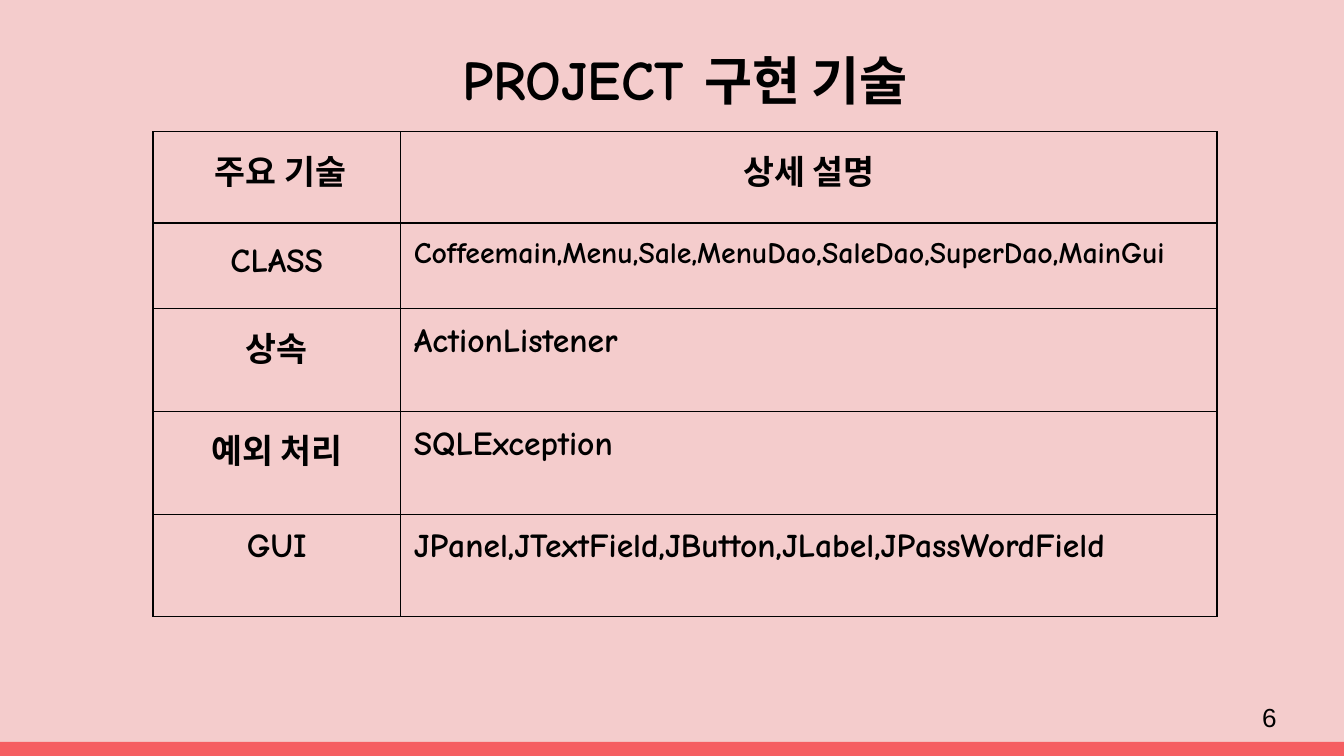
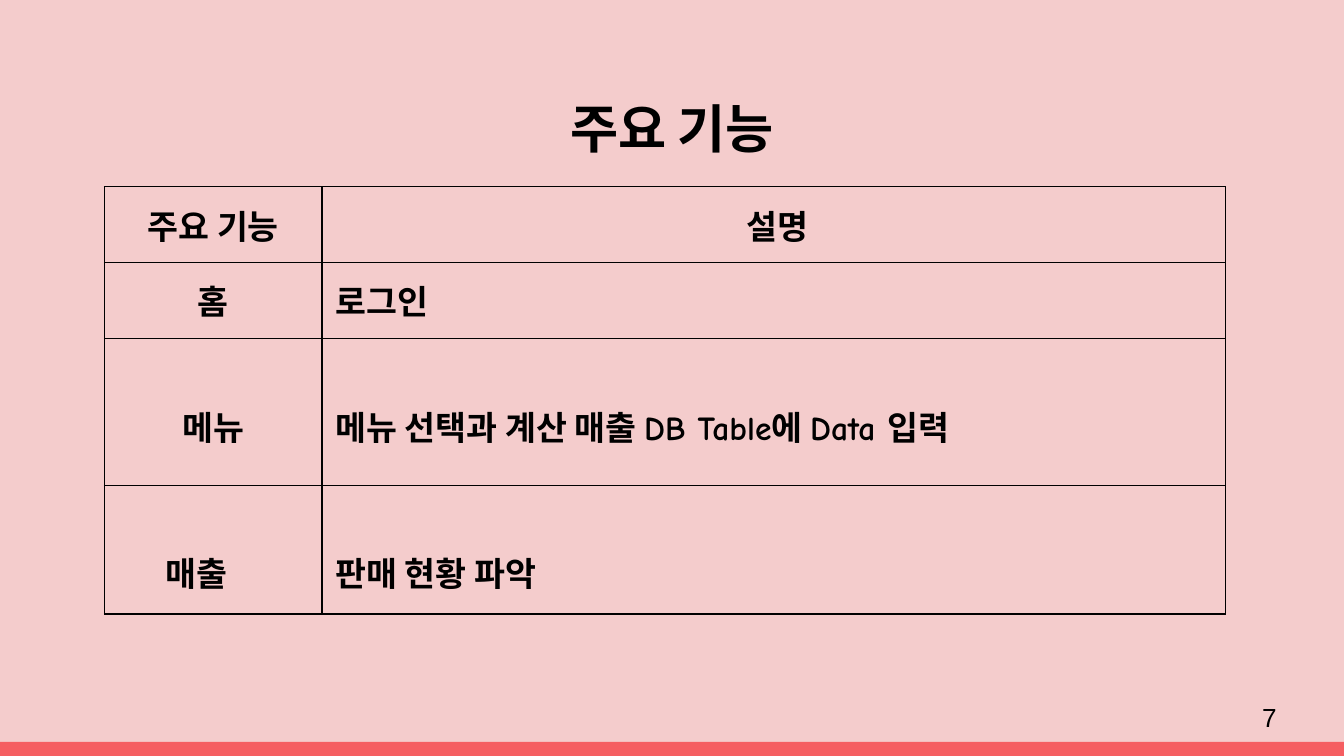
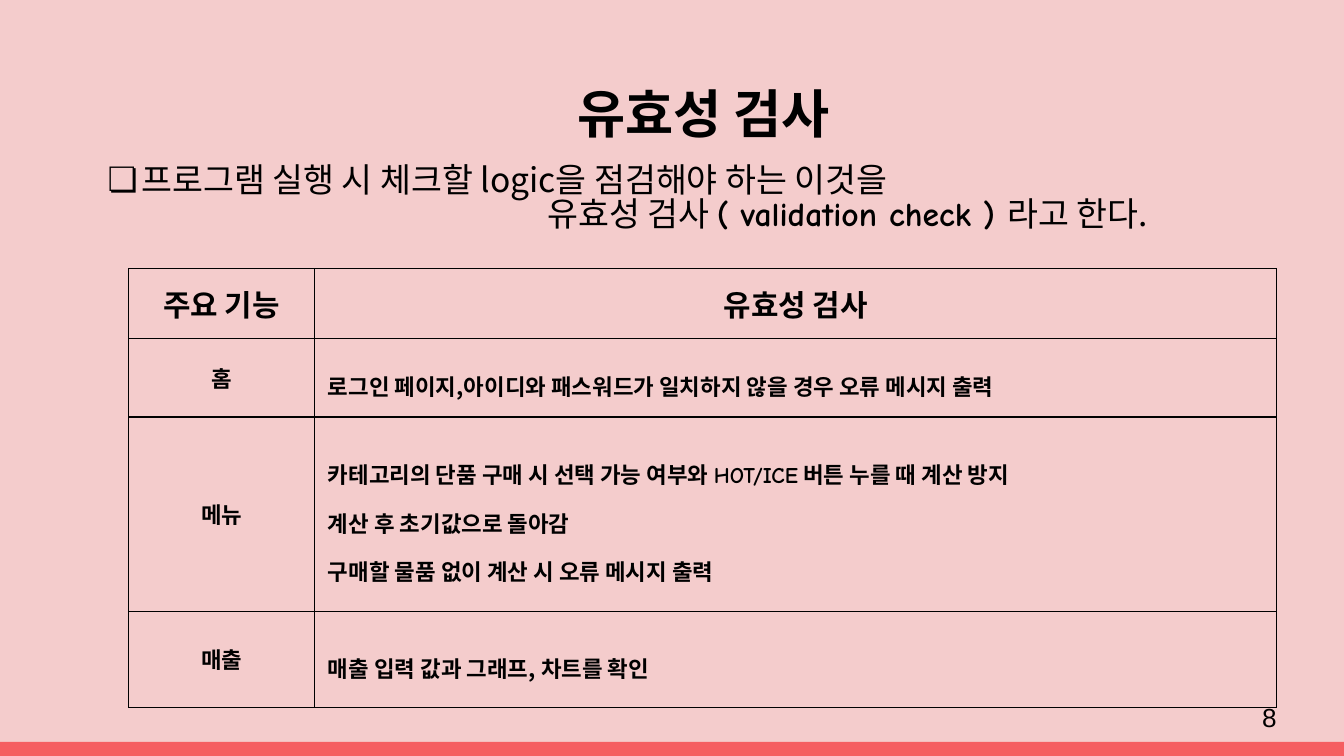
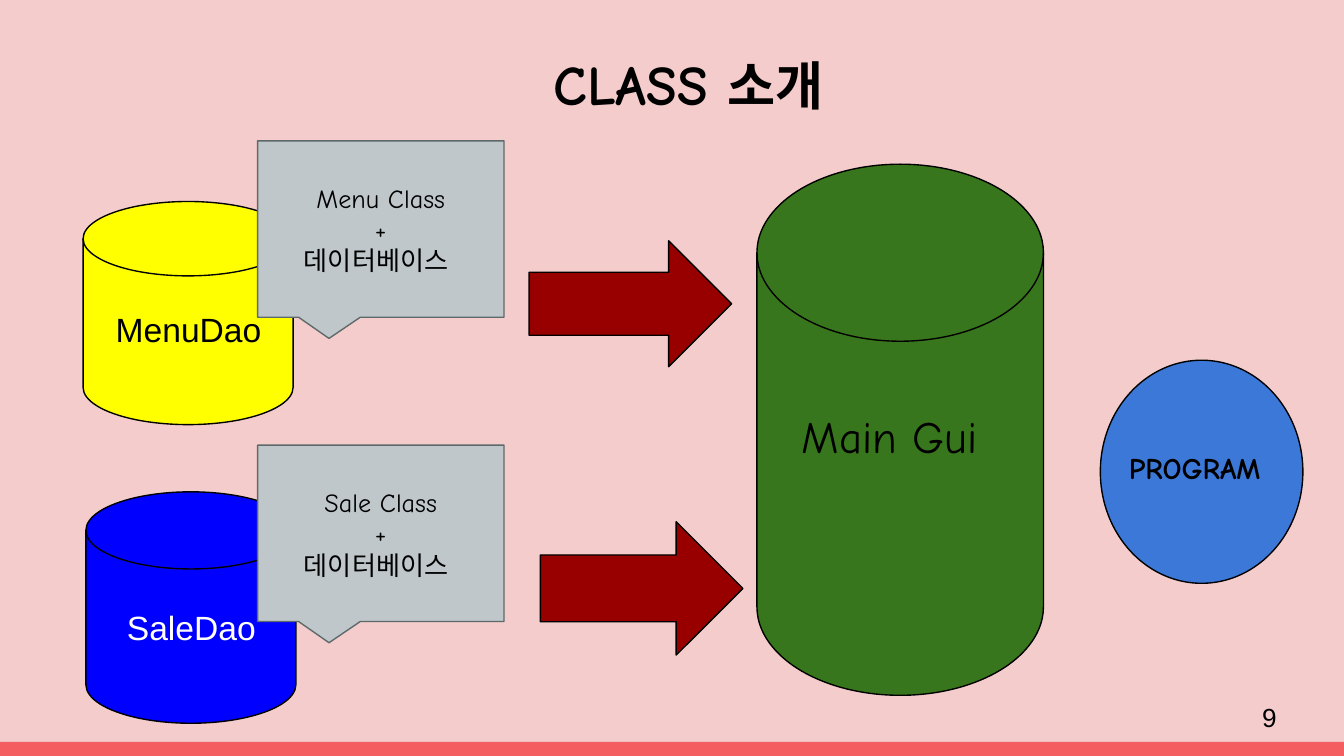
from dataclasses import dataclass
from typing import NamedTuple

from lxml.etree import SubElement
from pptx import Presentation
from pptx.dml.color import RGBColor
from pptx.enum.shapes import MSO_SHAPE
from pptx.enum.text import MSO_ANCHOR, MSO_AUTO_SIZE, PP_ALIGN
from pptx.oxml.ns import qn
from pptx.util import Pt

BLACK = RGBColor(0x00, 0x00, 0x00)
WHITE = RGBColor(0xFF, 0xFF, 0xFF)
PINK = RGBColor(0xF4, 0xCC, 0xCC)
CORAL = RGBColor(0xF5, 0x5E, 0x61)
YELLOW = RGBColor(0xFF, 0xFF, 0x00)
BLUE = RGBColor(0x00, 0x00, 0xFF)
SILVER = RGBColor(0xBF, 0xC7, 0xCA)
SLATE = RGBColor(0x5E, 0x69, 0x6C)
MAROON = RGBColor(0x98, 0x00, 0x00)
GREEN = RGBColor(0x38, 0x76, 0x1D)
SKY = RGBColor(0x3C, 0x78, 0xD8)

COMIC = "Comic Neue"
KOREAN = "Noto Sans CJK KR"
ARIAL = "Arial"
LEFT, CENTER = PP_ALIGN.LEFT, PP_ALIGN.CENTER
TOP, MIDDLE = MSO_ANCHOR.TOP, MSO_ANCHOR.MIDDLE
INSET = 7.2
DISK = MSO_SHAPE.FLOWCHART_MAGNETIC_DISK
ARROW = MSO_SHAPE.RIGHT_ARROW
BUBBLE = MSO_SHAPE.ROUNDED_RECTANGULAR_CALLOUT


class Box(NamedTuple):
    left: float
    top: float
    width: float
    height: float

    def points(self) -> list:
        return [Pt(side) for side in self]


class Piece(NamedTuple):
    text: str
    font: str = KOREAN
    size: float = 18
    bold: bool = True
    color: RGBColor = BLACK


@dataclass
class Line:
    pieces: list
    align: PP_ALIGN = LEFT
    space: float = 1
    before: float = 0


@dataclass
class Cell:
    lines: list
    anchor: MSO_ANCHOR = TOP
    top: float = INSET
    left: float = INSET
    fill: RGBColor | None = None


@dataclass
class Grid:
    left: float
    top: float
    cols: list
    rows: list
    cells: list


@dataclass
class Figure:
    kind: MSO_SHAPE
    box: Box
    fill: RGBColor
    edge: RGBColor = BLACK


@dataclass
class Label:
    box: Box
    piece: Piece
    align: PP_ALIGN = CENTER


def write(frame, lines: list) -> None:
    for i, line in enumerate(lines):
        para = frame.paragraphs[0] if i == 0 else frame.add_paragraph()
        para.alignment = line.align
        para.line_spacing = line.space
        para.space_before = Pt(line.before)
        for piece in line.pieces:
            run = para.add_run()
            run.text = piece.text
            run.font.size = Pt(piece.size)
            run.font.bold = piece.bold
            run.font.color.rgb = piece.color
            run.font.name = piece.font
            SubElement(run._r.get_or_add_rPr(), qn("a:ea"), typeface=piece.font)


def setup(frame, anchor: MSO_ANCHOR = TOP) -> None:
    frame.word_wrap = True
    frame.auto_size = MSO_AUTO_SIZE.NONE
    frame.vertical_anchor = anchor
    frame.margin_left = frame.margin_right = Pt(INSET)
    frame.margin_top = frame.margin_bottom = Pt(INSET)


def place(holder, box: Box, lines: list, anchor: MSO_ANCHOR = TOP) -> None:
    holder.left, holder.top, holder.width, holder.height = box.points()
    setup(holder.text_frame, anchor)
    write(holder.text_frame, lines)


def add_text(slide, box: Box, lines: list, anchor: MSO_ANCHOR = TOP) -> None:
    place(slide.shapes.add_textbox(*box.points()), box, lines, anchor)


def add_label(slide, label: Label) -> None:
    add_text(slide, label.box, [Line([label.piece], label.align)])


def add_figure(slide, figure: Figure):
    shape = slide.shapes.add_shape(figure.kind, *figure.box.points())
    shape.shadow.inherit = False
    shape.fill.solid()
    shape.fill.fore_color.rgb = figure.fill
    shape.line.color.rgb = figure.edge
    shape.line.width = Pt(0.75)
    return shape


def add_page(deck, layout: int, number: int, box: Box, title: list, anchor: MSO_ANCHOR = TOP):
    slide = deck.slides.add_slide(deck.slide_layouts[layout])
    place(slide.shapes.title, box, [Line(title, CENTER)], anchor)
    digit = Piece(str(number), ARIAL, 14, False)
    add_text(slide, Box(669, 368.5, 43, 31), [Line([digit])], MIDDLE)
    return slide


def edge(cell) -> None:
    props = cell._tc.get_or_add_tcPr()
    for side in ("a:lnL", "a:lnR", "a:lnT", "a:lnB"):
        line = SubElement(props, qn(side), w=str(Pt(0.75)))
        fill = SubElement(line, qn("a:solidFill"))
        SubElement(fill, qn("a:srgbClr"), val=str(BLACK))


def add_grid(slide, grid: Grid) -> None:
    box = Box(grid.left, grid.top, sum(grid.cols), sum(grid.rows))
    table = slide.shapes.add_table(len(grid.rows), len(grid.cols), *box.points()).table
    table.first_row = table.horz_banding = False
    for col, width in zip(table.columns, grid.cols):
        col.width = Pt(width)
    for row, height, cells in zip(table.rows, grid.rows, grid.cells):
        row.height = Pt(height)
        for cell, data in zip(row.cells, cells):
            edge(cell)
            cell.margin_left, cell.margin_right = Pt(data.left), Pt(INSET)
            cell.margin_top, cell.margin_bottom = Pt(data.top), Pt(INSET)
            cell.vertical_anchor = data.anchor
            if data.fill is None:
                cell.fill.background()
            else:
                cell.fill.solid()
                cell.fill.fore_color.rgb = data.fill
            write(cell.text_frame, data.lines)


def brand(deck, slide) -> None:
    master = deck.slide_master
    master.background.fill.solid()
    master.background.fill.fore_color.rgb = PINK
    band = add_figure(slide, Figure(MSO_SHAPE.RECTANGLE, Box(0, 397.5, 720, 7.5), CORAL))
    band.line.fill.background()
    master.shapes.element.append(band.element)


def tech(deck):
    title = [Piece("PROJECT ", COMIC, 30), Piece("구현 기술", size=28)]
    slide = add_page(deck, 5, 6, Box(82, 16.5, 570, 49), title)

    def cell(piece: Piece, align: PP_ALIGN = CENTER, space: float = 1) -> Cell:
        return Cell([Line([piece], align, space, 10)])

    names = "Coffeemain,Menu,Sale,MenuDao,SaleDao,SuperDao,MainGui"
    parts = "JPanel,JTextField,JButton,JLabel,JPassWordField"
    cells = [
        [cell(Piece(" 주요 기술")), cell(Piece("상세 설명"))],
        [cell(Piece("CLASS", COMIC), space=1.15), cell(Piece(names, COMIC, 16), LEFT)],
        [cell(Piece("상속")), cell(Piece("ActionListener", COMIC), LEFT)],
        [cell(Piece("예외 처리")), cell(Piece("SQLException", COMIC), LEFT)],
        [cell(Piece("GUI", COMIC)), cell(Piece(parts, COMIC), LEFT)],
    ]
    add_grid(slide, Grid(82, 70.5, [132.5, 437.5], [49, 46, 55, 55, 55], cells))
    return slide


def features(deck) -> None:
    slide = add_page(deck, 5, 7, Box(67.5, 44.5, 585, 49), [Piece("주요 기능", size=28)])

    def cell(*pieces: Piece, align: PP_ALIGN = LEFT, top: float = INSET, left: float = INSET) -> Cell:
        return Cell([Line(list(pieces), align)], top=top, left=left)

    low = 33.5
    menu = [Piece("메뉴 선택과 계산 매출 "), Piece("DB Table", COMIC), Piece("에 "),
            Piece("Data ", COMIC), Piece("입력")]
    cells = [
        [cell(Piece("주요 기능"), align=CENTER), cell(Piece(" 설명"), align=CENTER)],
        [cell(Piece("홈"), align=CENTER), cell(Piece("로그인"))],
        [cell(Piece("메뉴"), align=CENTER, top=low), cell(*menu, top=low)],
        [cell(Piece("매출"), top=low, left=32.5), cell(Piece("판매 현황 파악"), top=low)],
    ]
    add_grid(slide, Grid(56, 100, [116.5, 484], [40.5, 41, 78.5, 69], cells))


def checks(deck) -> None:
    title = [Piece("유효성 검사", size=28)]
    slide = add_page(deck, 1, 8, Box(69, 37.5, 615.5, 45.5), title, MIDDLE)
    body = slide.placeholders[1]
    intro = [Piece("프로그램 실행 시 체크할 logic을 점검해야 하는 이것을", bold=False)]
    term = [Piece("유효성 검사 ", bold=False), Piece("( validation check ) ", COMIC),
            Piece("라고 한다.", bold=False)]
    place(body, Box(31, 82, 671, 286.5), [Line(intro, space=0.82), Line(term, space=0.82)])
    marks = [(37.5, -18, "a:buChar", {"char": "❏"}), (255, 0, "a:buNone", {})]
    for para, (left, indent, tag, attrs) in zip(body.text_frame.paragraphs, marks):
        props = para._p.get_or_add_pPr()
        props.set("marL", str(Pt(left)))
        props.set("indent", str(Pt(indent)))
        SubElement(props, qn(tag), attrs)

    def head(text: str) -> Cell:
        return Cell([Line([Piece(text, size=16)], CENTER)], MIDDLE, fill=PINK)

    def name(text: str) -> Cell:
        return Cell([Line([Piece(text, size=12)], CENTER)], MIDDLE)

    def notes(*lines: list) -> Cell:
        return Cell([Line(line, space=1.5) for line in lines], MIDDLE)

    def small(text: str, font: str = KOREAN) -> Piece:
        return Piece(text, font, 12)

    cells = [
        [head("주요 기능"), head("유효성 검사")],
        [name("홈"), notes([small("로그인 페이지,아이디와 패스워드가 일치하지 않을 경우 오류 메시지 출력")])],
        [name("메뉴"), notes(
            [small("카테고리의 단품 구매 시 선택 가능 여부와 "), small("HOT/ICE", COMIC),
             small(" 버튼 누를 때 계산 방지")],
            [small("계산 후 초기값으로 돌아감")],
            [small("구매할 물품 없이 계산 시 오류 메시지 출력")])],
        [name("매출"), notes([small("매출 입력 값과 그래프, 차트를 확인")])],
    ]
    add_grid(slide, Grid(69, 144, [99.5, 515.5], [37.5, 42, 104, 51.5], cells))


def classes(deck) -> None:
    title = [Piece("CLASS ", COMIC, 30), Piece("소개", size=28)]
    slide = add_page(deck, 5, 9, Box(32.5, 19.5, 673, 48), title)
    figures = [
        Figure(DISK, Box(44.5, 108, 112.5, 119.5), YELLOW),
        Figure(DISK, Box(46, 263.5, 112.5, 124), BLUE),
        Figure(ARROW, Box(283.5, 129, 108.5, 67.5), MAROON),
        Figure(ARROW, Box(289.5, 279.5, 108.5, 71.5), MAROON),
        Figure(DISK, Box(405.5, 88, 153.5, 284.5), GREEN),
        Figure(MSO_SHAPE.OVAL, Box(589.5, 193, 108.5, 119.5), SKY),
    ]
    labels = [
        Label(Box(50.5, 158.5, 101, 38), Piece("MenuDao", ARIAL, 18, False)),
        Label(Box(52, 318, 101, 38), Piece("SaleDao", ARIAL, 18, False, WHITE)),
        Label(Box(422.5, 211.5, 119, 42.5), Piece("Main Gui", COMIC, 24, False), LEFT),
        Label(Box(592, 233.5, 104.5, 38), Piece(" PROGRAM", COMIC, 16), LEFT),
    ]
    for figure in figures:
        add_figure(slide, figure)
    for label in labels:
        add_label(slide, label)
    for top, word in ((75.5, "Menu Class"), (238.5, "Sale Class")):
        bubble = add_figure(slide, Figure(BUBBLE, Box(138, top, 132, 94.5), SILVER, SLATE))
        for i, value in enumerate((-0.21, 0.62, 0)):
            bubble.adjustments[i] = value
        setup(bubble.text_frame, MIDDLE)
        texts = (word, "+", "데이터베이스 ")
        write(bubble.text_frame, [Line([Piece(text, COMIC, 14, False)], CENTER) for text in texts])


def main() -> None:
    deck = Presentation()
    deck.slide_width, deck.slide_height = Pt(720), Pt(405)
    brand(deck, tech(deck))
    features(deck)
    checks(deck)
    classes(deck)
    deck.save("out.pptx")


if __name__ == "__main__":
    main()
